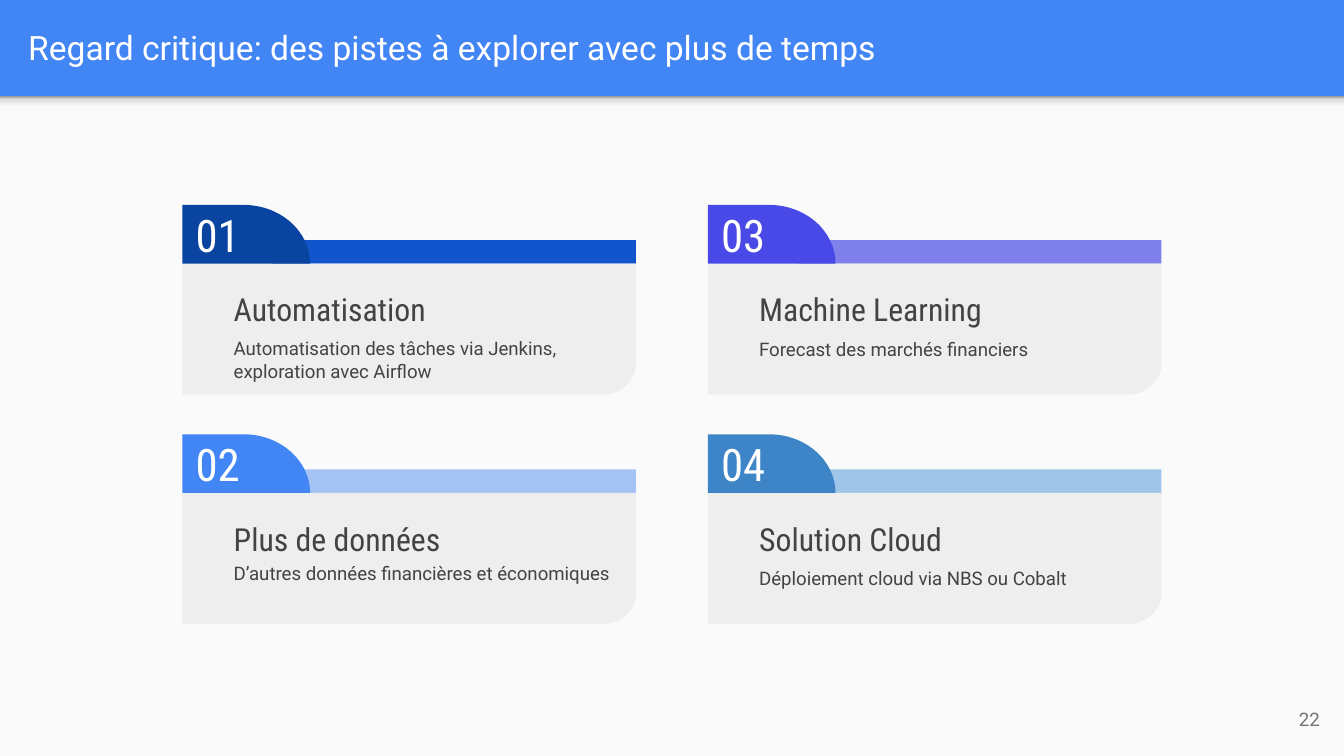
from copy import deepcopy

from lxml import etree
from pptx import Presentation
from pptx.dml.color import RGBColor
from pptx.enum import shapes, text
from pptx.oxml.ns import qn
from pptx.util import Pt

# Content
TITLE = "Regard critique: des pistes à explorer avec plus de temps"
PAGE = "22"
# number, heading, detail, detail (top, width, height), tab colour, bar colour
CARDS = [
    ("01", "Automatisation",
     "Automatisation des tâches via Jenkins, exploration avec Airflow",
     (68.4, 209.5, 28.8), "0944A1", "1155CC"),
    ("02", "Plus de données", "D’autres données financières et économiques",
     (62.4, 218, 23.8), "4285F4", "A4C2F4"),
    ("03", "Machine Learning", "Forecast des marchés financiers",
     (62.6, 160, 28.8), "4949E7", "8080ED"),
    ("04", "Solution Cloud", "Déploiement cloud via NBS ou Cobalt",
     (62.6, 214.5, 28.8), "3D85C6", "9FC5E8"),
]
FADE = [(0, "F9F9F9"), (0.36, "F9F9F9"), (0.8, "DEDEDE"), (1, "999999")]

# Look
BLUE = RGBColor.from_string("4285F4")
PAPER = RGBColor.from_string("FAFAFA")
PANEL = RGBColor.from_string("EEEEEE")
WHITE = RGBColor.from_string("FFFFFF")
INK = RGBColor.from_string("434343")
GREY = RGBColor.from_string("737373")
BODY, HEAD = "Roboto", "Roboto Condensed"

# Grid
WIDE, HIGH = 720, 405
BAND = 51.6
LEFT, TOP = 97.7, 109.8
STEP_X, STEP_Y = 281.5, 122.9
CARD_W, CARD_H = 243, 70.2
TAB_W, TAB_H = 68.4, 31.4
BAR_X, BAR_H = 48.5, 12.6
PAD = 20.4
BEND = 0.45  # pull of the handles of a quarter ellipse

deck = Presentation()
deck.slide_width, deck.slide_height = Pt(WIDE), Pt(HIGH)
slide = deck.slides.add_slide(deck.slide_layouts[5])
slide.background.fill.solid()
slide.background.fill.fore_color.rgb = BLUE


def write(shape, words, size, font, color, align=text.PP_ALIGN.LEFT):
    frame = shape.text_frame
    frame.text = words
    frame.word_wrap = True
    frame.auto_size = text.MSO_AUTO_SIZE.NONE
    frame.vertical_anchor = text.MSO_ANCHOR.MIDDLE
    frame.margin_left = frame.margin_right = Pt(7.2)
    frame.margin_top = frame.margin_bottom = Pt(7.2)
    para = frame.paragraphs[0]
    para.alignment = align
    face = para.runs[0].font
    face.size, face.name, face.color.rgb = Pt(size), font, color


def label(home, x, y, w, h, *style):
    write(home.add_textbox(Pt(x), Pt(y), Pt(w), Pt(h)), *style)


def plain(shape, color):
    shape.shadow.inherit = False
    shape.line.fill.background()
    shape.fill.solid()
    shape.fill.fore_color.rgb = color
    return shape


def block(home, x, y, w, h, color):
    return plain(home.add_shape(
        shapes.MSO_SHAPE.RECTANGLE, Pt(x), Pt(y), Pt(w), Pt(h)), color)


def curved(home, x, y, w, h, rx, ry, color, low=False):
    """Box with one elliptical right corner, at the top or the bottom."""
    def flip(dots):
        return [(a, h - b if low else b) for a, b in dots]

    dots = [(0, 0), (0, h), (w, h), (w, ry), (w - rx, 0)]
    if ry == h:
        dots.remove((w, ry))
    dots = [(Pt(x + a), Pt(y + b)) for a, b in flip(dots)]
    pen = home.build_freeform(*dots[0], scale=1.0)
    pen.add_line_segments(dots[1:], close=True)
    shape = plain(pen.convert_to_shape(), color)

    # The last side becomes a curve
    side = shape.element.spPr.xpath(".//a:lnTo")[-1]
    side.tag = qn("a:cubicBezTo")
    pulls = [(w, ry * BEND), (w - rx * BEND, 0)]
    for i, (a, b) in enumerate(flip(pulls)):
        dot = etree.Element(qn("a:pt"), x=str(Pt(a)), y=str(Pt(b)))
        side.insert(i, dot)
    return shape


# Page below the title band, with a soft shade under the band
page = slide.shapes
block(page, 0, BAND, WIDE, HIGH - BAND, PAPER)
shade = block(page, 0, BAND, WIDE, 8.6, PAPER)
shade.fill.gradient()
shade.fill.gradient_angle = 90
first = shade.element.spPr.xpath(".//a:gs")[0]
for _ in range(len(FADE) - len(shade.fill.gradient_stops)):
    first.addnext(deepcopy(first))
for stop, (place, color) in zip(shade.fill.gradient_stops, FADE):
    stop.position = place
    stop.color.rgb = RGBColor.from_string(color)

# Title and page number
title = page.title
title.left, title.top = Pt(7.9), Pt(1.4)
title.width, title.height = Pt(695), Pt(47.5)
write(title, TITLE, 18, BODY, WHITE)
label(page, 671, 369.7, 43.2, 31, PAGE, 10, BODY, GREY, text.PP_ALIGN.RIGHT)

# Cards, filled down each column
for i, (num, head, note, spot, dark, light) in enumerate(CARDS):
    col, row = divmod(i, 2)
    x, y = LEFT + col * STEP_X, TOP + row * STEP_Y
    card = page.add_group_shape().shapes
    block(card, x + BAR_X, y + TAB_H - BAR_H, CARD_W - BAR_X, BAR_H,
          RGBColor.from_string(light))
    curved(card, x, y + TAB_H, CARD_W, CARD_H, 18, 16.5, PANEL, low=True)
    tab = curved(card, x, y, TAB_W, TAB_H, 35.5, TAB_H,
                 RGBColor.from_string(dark))
    write(tab, num, 24, HEAD, WHITE)
    drop, w, h = spot
    label(card, x + PAD, y + drop, w, h, note, 10, BODY, INK)
    label(card, x + PAD, y + 41.4, 171, 28.8, head, 17, HEAD, INK)

deck.save("out.pptx")
